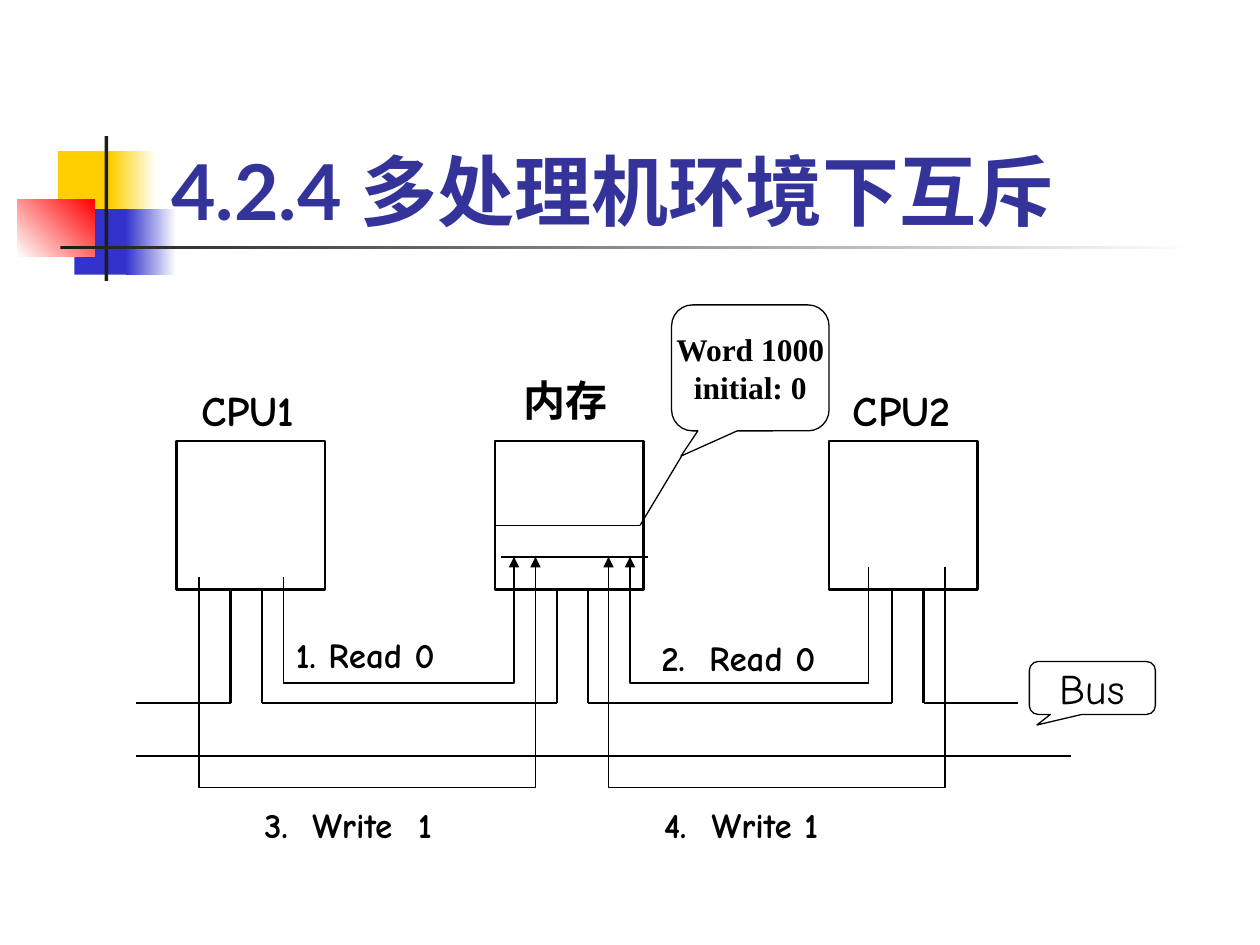
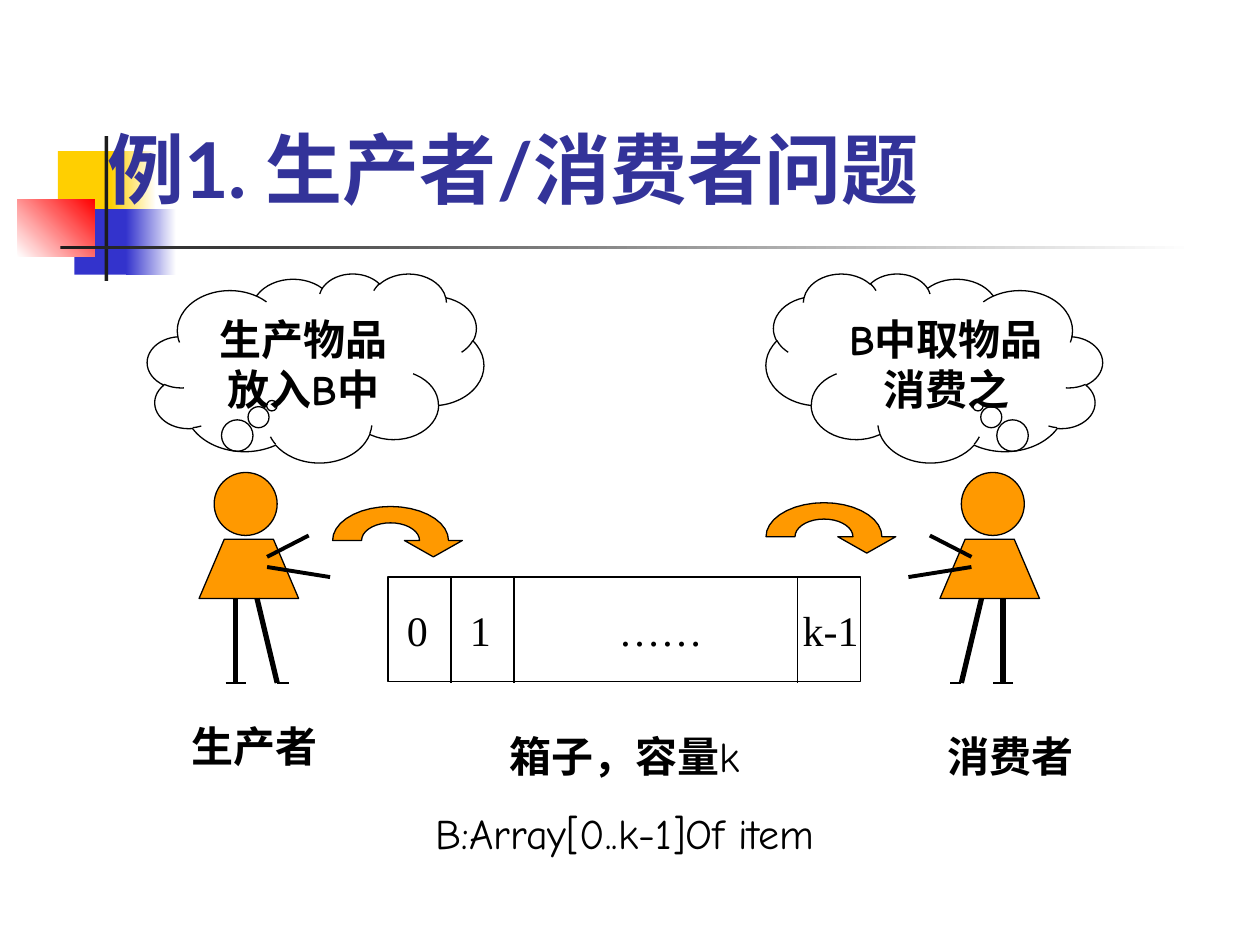
import math

import lxml.etree
import pptx
import pptx.dml.color
import pptx.enum.shapes
import pptx.enum.text
import pptx.oxml.ns
import pptx.util

PX = 9144
COLORS = {
    "white": "FFFFFF", "ink": "000000", "title": "333399", "yellow": "FFCF01",
    "blue": "3333CC", "red": "FF0000", "bar": "1C1C1C", "orange": "FF9900",
}
RGB = {name: pptx.dml.color.RGBColor.from_string(h) for name, h in COLORS.items()}
COMIC, TIMES, LATO = "Comic Neue", "Times New Roman", "Lato"
SHAPE = pptx.enum.shapes.MSO_SHAPE
ALIGN = pptx.enum.text.PP_ALIGN
ANCHOR = pptx.enum.text.MSO_ANCHOR
AUTO = pptx.enum.text.MSO_AUTO_SIZE
qn = pptx.oxml.ns.qn


def put(shapes, kind, box, paras=(), font=COMIC, size=24, bold=True,
        fill=None, weight=0.75, align=ALIGN.LEFT, tabs=()):
    box = [v * PX for v in box]
    if kind is None:
        sp = shapes.add_textbox(*box)
    else:
        sp = shapes.add_shape(kind, *box)
        sp.shadow.inherit = False
        if fill:
            sp.fill.solid()
            sp.fill.fore_color.rgb = RGB[fill]
        else:
            sp.fill.background()
        if weight:
            sp.line.color.rgb = RGB["ink"]
            sp.line.width = pptx.util.Pt(weight)
        else:
            sp.line.fill.background()
    tf = sp.text_frame
    tf.word_wrap = kind is None
    if kind is None:
        tf.auto_size = AUTO.SHAPE_TO_FIT_TEXT
    else:
        tf.vertical_anchor = ANCHOR.MIDDLE
    tf.text = "\n".join(paras)
    for p in tf.paragraphs:
        p.alignment = align
        if tabs:
            stops = lxml.etree.SubElement(p._p.get_or_add_pPr(), qn("a:tabLst"))
            for x in tabs:
                lxml.etree.SubElement(stops, qn("a:tab"), pos=str(x * PX), algn="l")
        for r in p.runs:
            r.font.name, r.font.bold = font, bold
            r.font.size = pptx.util.Pt(size)
            r.font.color.rgb = RGB["ink"]
    return sp


def draw(shapes, points, weight=0.75, fill=None, arrow=False):
    pts = [(round(x * PX), round(y * PX)) for x, y in points]
    if len(pts) == 2:
        sp = shapes.add_connector(pptx.enum.shapes.MSO_CONNECTOR.STRAIGHT, *pts[0], *pts[1])
    else:
        builder = shapes.build_freeform(*pts[0])
        builder.add_line_segments(pts[1:], close=fill is not None)
        sp = builder.convert_to_shape()
        sp.shadow.inherit = False
        if fill:
            sp.fill.solid()
            sp.fill.fore_color.rgb = RGB[fill]
        else:
            sp.fill.background()
    sp.line.color.rgb = RGB["ink"]
    sp.line.width = pptx.util.Pt(weight)
    spPr = sp.element.spPr
    if len(pts) == 2:
        lxml.etree.SubElement(spPr, qn("a:effectLst"))
    if arrow:
        lxml.etree.SubElement(spPr.find(qn("a:ln")), qn("a:tailEnd"), type="triangle")


prs = pptx.Presentation()
prs.slide_width = 1000 * PX
prs.slide_height = 750 * PX
layout = prs.slide_layouts[5]

slides = []
for text, box in [
    ("4.2.4 多处理机环境下互斥", (126, 67, 852, 125)),
    ("例1. 生产者/消费者问题", (75, 50, 850, 125)),
]:
    slide = prs.slides.add_slide(layout)
    title = slide.shapes.title
    title.left, title.top, title.width, title.height = [v * PX for v in box]
    tf = title.text_frame
    tf.text = text
    tf.auto_size = AUTO.NONE
    tf.vertical_anchor = ANCHOR.BOTTOM
    p = tf.paragraphs[0]
    p.alignment = ALIGN.LEFT
    font = p.runs[0].font
    font.name, font.size, font.bold = LATO, pptx.util.Pt(44), True
    font.color.rgb = RGB["title"]
    slides.append(slide.shapes)
cpu, producer = slides

for box, start, end, angle in [
    ((46, 120, 48, 52), "yellow", None, 0),
    ((88, 120, 36, 52), "yellow", "white", 0),
    ((59, 166, 46, 52), "blue", None, 0),
    ((100, 166, 40, 52), "blue", "white", 0),
    ((14, 158, 61, 46), "white", "red", 45),
    ((83, 108, 3, 115), "bar", None, 0),
    ((48, 195, 900, 3), "bar", "white", 0),
]:
    sp = put(cpu, SHAPE.RECTANGLE, box, fill=start, weight=0)
    if end:
        sp.fill.gradient()
        sp.fill.gradient_angle = angle
        for stop, name in zip(sp.fill.gradient_stops, (start, end)):
            stop.color.rgb = RGB[name]
    layout.shapes.element.append(sp.element)

for x in (393, 140, 658):
    put(cpu, SHAPE.RECTANGLE, (x, 350, 118, 118), fill="white", weight=1.5)
for start, end in [((398, 442), (514, 442)), ((392, 417), (508, 417)), ((541, 362), (508, 417))]:
    draw(cpu, [start, end])

for box, paras, font, size, bold in [
    ((533, 242, 125, 100), ["Word 1000", "initial: 0"], TIMES, 18, True),
    ((817, 525, 100, 42), ["Bus"], COMIC, 24, False),
]:
    sp = put(cpu, SHAPE.ROUNDED_RECTANGULAR_CALLOUT, box, paras, font, size, bold, align=ALIGN.CENTER)
    sp.adjustments[0], sp.adjustments[1] = -0.44, 0.7

for text, box, font, size in [
    ("内存", (406, 292, 92, 50), TIMES, 24),
    ("CPU1", (150, 300, 108, 50), COMIC, 24),
    ("CPU2", (667, 300, 108, 50), COMIC, 24),
    ("1. Read 0", (225, 498, 192, 44), COMIC, 20),
    ("2.\tRead 0", (515, 500, 176, 44), COMIC, 20),
    ("3.\tWrite\t1", (200, 633, 208, 44), COMIC, 20),
    ("4.\tWrite 1", (517, 633, 200, 44), COMIC, 20),
]:
    put(cpu, None, box, [text], font, size, tabs=(38, 122) if "\t" in text else ())

stubs = [183, 208, 442, 467, 708, 733]
for x in stubs:
    draw(cpu, [(x, 467), (x, 558)], 1.25)
ends = [108] + stubs + [808]
for left, right in zip(ends[::2], ends[1::2]):
    draw(cpu, [(left, 558), (right, 558)], 1.25)
draw(cpu, [(108, 600), (850, 600)], 1.25)

for start, top, bottom, end in [
    (225, 458, 542, 408), (158, 458, 625, 425), (750, 450, 625, 483), (689, 450, 542, 500),
]:
    draw(cpu, [(start, top), (start, bottom), (end, bottom), (end, 442)], arrow=True)

sp = put(producer, SHAPE.RECTANGLE, (308, 458, 375, 83), ["0\t1\t……\tk-1"],
         TIMES, 24, False, tabs=(50, 168, 314))
sp.text_frame.word_wrap = True
sp.text_frame.margin_left, sp.text_frame.margin_right = 15 * PX, 0
for x in (358, 408, 633):
    draw(producer, [(x, 458), (x, 542)])

sp = put(producer, None, (300, 575, 392, 111), ["箱子，容量", "B:Array[0..k-1]Of item"],
         bold=False, align=ALIGN.CENTER)
p, declaration = sp.text_frame.paragraphs
declaration.space_before = pptx.util.Pt(15)
p.runs[0].font.bold = True
r = p.add_run()
r.text = "k"
r.font.name, r.font.size, r.font.bold = COMIC, pptx.util.Pt(24), False
r.font.color.rgb = RGB["ink"]

for text, x, y in [("生产者", 142, 567), ("消费者", 742, 575)]:
    put(producer, None, (x, y, 125, 50), [text], TIMES)

for cx, cy in [(310, 429), (654, 426)]:
    angles = [math.radians(a) for a in range(0, 181, 10)]
    inner = [(cx + 23 * math.cos(a), cy - 14 * math.sin(a)) for a in angles]
    outer = [(cx + 46 * math.cos(a), cy - 27 * math.sin(a)) for a in reversed(angles)]
    head = [(cx + 57, cy), (cx + 34, cy + 13), (cx + 11, cy)]
    draw(producer, inner + outer + head, fill="orange")

for x, paras, flipped in [
    (117, ["生产物品", "放入B中"], False),
    (608, ["B中取物品", "消费之"], True),
]:
    sp = put(producer, SHAPE.CLOUD_CALLOUT, (x, 217, 267, 150), paras, align=ALIGN.CENTER)
    sp.adjustments[0], sp.adjustments[1] = -0.13, 0.2
    if flipped:
        sp.element.spPr.find(qn("a:xfrm")).set("flipH", "1")

limbs = [
    ((179, 542), (195, 542), 0.75), ((220, 542), (229, 542), 0.75),
    ((187, 475), (187, 542), 3), ((204, 475), (220, 542), 3),
    ((212, 450), (262, 458), 2.25), ((212, 442), (245, 425), 2.25),
]
body = [(158, 475), (178, 428), (217, 428), (237, 475)]
for origin, side, head_left in [(0, 1, 170), (983, -1, 763)]:
    person = producer.add_group_shape().shapes
    put(person, SHAPE.OVAL, (head_left, 375, 50, 50), fill="orange")
    draw(person, [(origin + side * x, y) for x, y in body], fill="orange")
    for start, end, weight in limbs:
        draw(person, [(origin + side * x, y) for x, y in (start, end)], weight)

prs.save("out.pptx")
